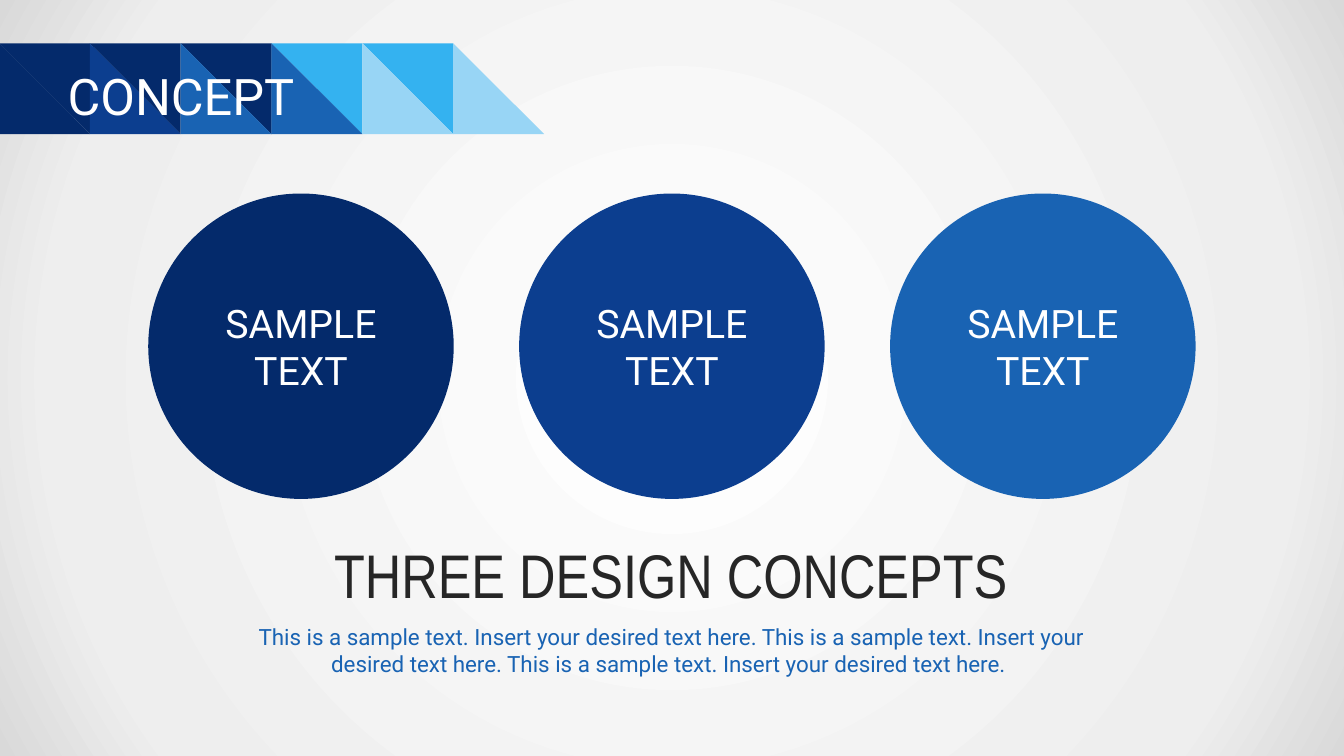
from dataclasses import dataclass

from pptx import Presentation
from pptx.dml.color import RGBColor
from pptx.enum.shapes import MSO_SHAPE
from pptx.enum.text import MSO_ANCHOR, MSO_AUTO_SIZE, PP_ALIGN
from pptx.oxml import parse_xml
from pptx.oxml.ns import nsdecls, qn
from pptx.util import Inches, Pt


@dataclass(frozen=True)
class Theme:
    navy: str = "042A6B"
    royal: str = "0C3E8F"
    blue: str = "1963B3"
    sky: str = "34B2F0"
    pale: str = "98D5F5"
    white: str = "FFFFFF"
    ink: str = "262626"
    backdrop: tuple = ((0, "FFFFFF"), (81, "EEEEEE"), (100, "D9D9D9"))
    font: str = "Roboto"
    narrow: str = "Arial Narrow"
    title: int = 36
    heading: int = 44
    label: int = 28
    body: int = 16


class Deck:
    """Draws on one slide; lengths are percentages of its width and height."""

    def __init__(self, theme):
        self.theme = theme
        self.prs = Presentation()
        self.prs.slide_width, self.prs.slide_height = Inches(13.33), Inches(7.5)
        self.s = self.prs.slides.add_slide(self.prs.slide_layouts[5])

    def x(self, share):
        return round(self.prs.slide_width * share / 100)

    def y(self, share):
        return round(self.prs.slide_height * share / 100)

    def box(self, left, top, width, height):
        return self.x(left), self.y(top), self.x(width), self.y(height)

    def paint(self, sp, color):
        sp.shadow.inherit = False
        sp.fill.solid()
        sp.fill.fore_color.rgb = RGBColor.from_string(color)
        sp.line.fill.background()

    def set_text(self, sp, text, size, color, font=None, align=PP_ALIGN.CENTER):
        tf = sp.text_frame
        tf.text = text
        tf.word_wrap = True
        p = tf.paragraphs[0]
        p.alignment = align
        r = p.runs[0]
        r.font.size = Pt(size)
        r.font.name = font or self.theme.font
        r.font.color.rgb = RGBColor.from_string(color)
        return tf

    def background(self, stops):
        self.s.background.fill.solid()
        bg = self.s.element.find(".//" + qn("p:bgPr"))
        gs = "".join(f'<a:gs pos="{pos * 1000}"><a:srgbClr val="{color}"/></a:gs>'
                     for pos, color in stops)
        bg.replace(bg[0], parse_xml(
            f'<a:gradFill {nsdecls("a")} rotWithShape="1"><a:gsLst>{gs}</a:gsLst>'
            '<a:path path="circle"><a:fillToRect l="50000" t="50000" r="50000" b="50000"/>'
            '</a:path></a:gradFill>'))

    def triangle(self, points, color):
        start, *rest = [(self.x(px), self.y(py)) for px, py in points]
        builder = self.s.shapes.build_freeform(*start)
        builder.add_line_segments(rest, close=True)
        self.paint(builder.convert_to_shape(), color)

    def title(self, text, area):
        sp = self.s.shapes.title
        sp.left, sp.top, sp.width, sp.height = self.box(*area)
        tf = self.set_text(sp, text, self.theme.title, self.theme.white, align=PP_ALIGN.LEFT)
        tf.auto_size = MSO_AUTO_SIZE.NONE
        tf.vertical_anchor = MSO_ANCHOR.MIDDLE
        tf.margin_left = tf.margin_right = 0
        tf.margin_top = tf.margin_bottom = Inches(0.07)
        sp.element.getparent().append(sp.element)  # in front of the ribbon

    def circle(self, text, area, color):
        sp = self.s.shapes.add_shape(MSO_SHAPE.OVAL, *self.box(*area))
        self.paint(sp, color)
        tf = self.set_text(sp, text, self.theme.label, self.theme.white)
        tf.vertical_anchor = MSO_ANCHOR.MIDDLE

    def text(self, text, area, size, color, font=None):
        sp = self.s.shapes.add_textbox(*self.box(*area))
        tf = self.set_text(sp, text, size, color, font)
        tf.auto_size = MSO_AUTO_SIZE.SHAPE_TO_FIT_TEXT


def main():
    t = Theme()
    deck = Deck(t)
    deck.background(t.backdrop)

    # Ribbon: square cells cut along the diagonal; the last has no upper half
    left, top, cell_w, bottom = -0.08, 5.73, 6.76, 17.73
    upper = (t.navy, t.navy, t.navy, t.sky, t.sky, None)
    lower = (t.navy, t.royal, t.blue, t.blue, t.pale, t.pale)
    for i, (above, below) in enumerate(zip(upper, lower)):
        x1, x2 = left + i * cell_w, left + (i + 1) * cell_w
        if above:
            deck.triangle([(x1, top), (x2, bottom), (x2, top)], above)
        deck.triangle([(x1, top), (x1, bottom), (x2, bottom)], below)
    deck.title("CONCEPT", (5.03, 7.47, 90, 10.4))

    # Three concept circles
    for i, color in enumerate((t.navy, t.royal, t.blue)):
        deck.circle("SAMPLE TEXT", (11.03 + i * 27.6, 25.6, 22.73, 40.4), color)

    # Description and heading
    deck.text("This is a sample text. Insert your desired text here. " * 3,
              (16.2, 81.73, 67.5, 8.53), t.body, t.blue)
    deck.text("THREE DESIGN CONCEPTS", (16.2, 70.4, 67.5, 11.2),
              t.heading, t.ink, t.narrow)

    deck.prs.save("out.pptx")


if __name__ == "__main__":
    main()
